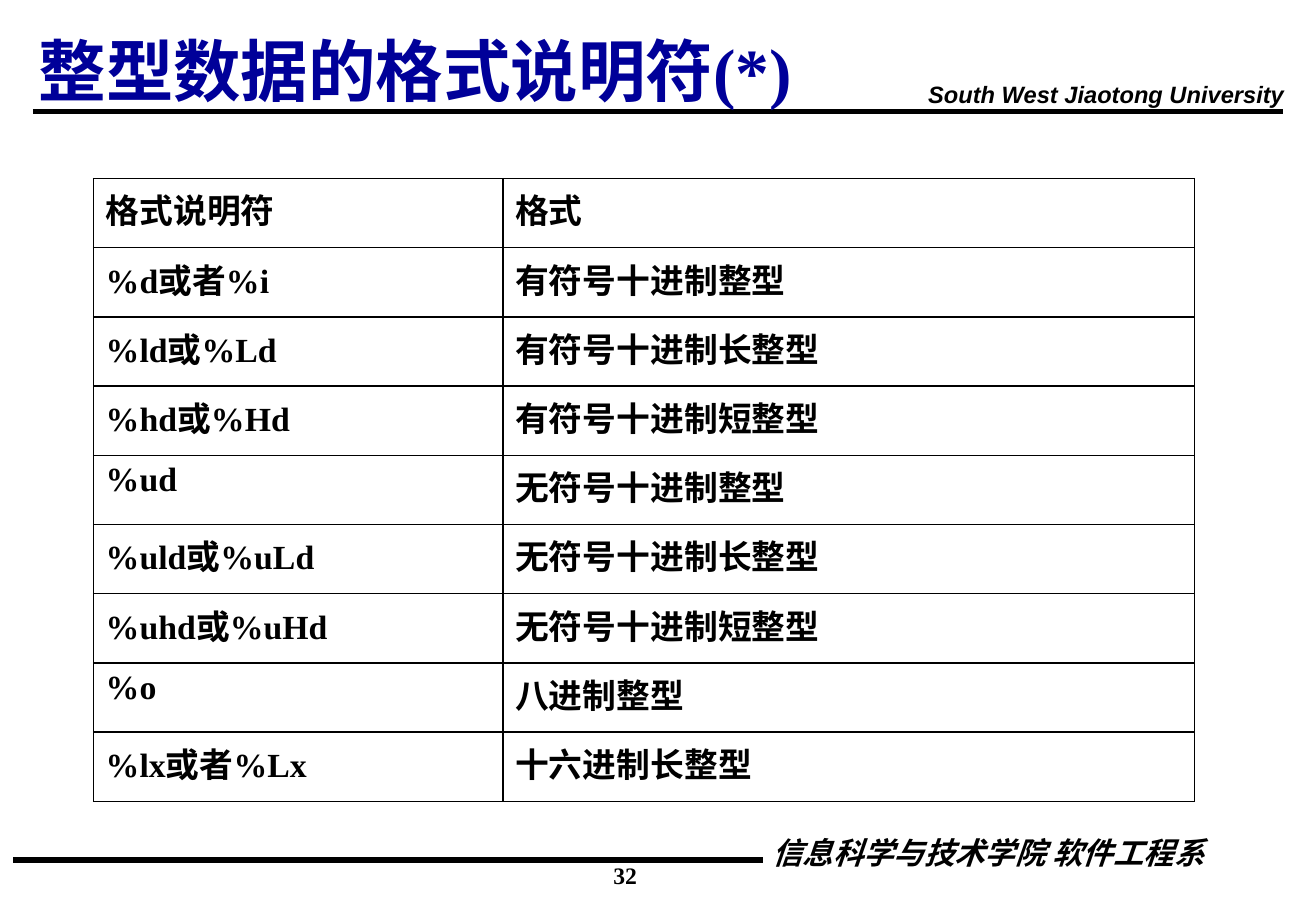
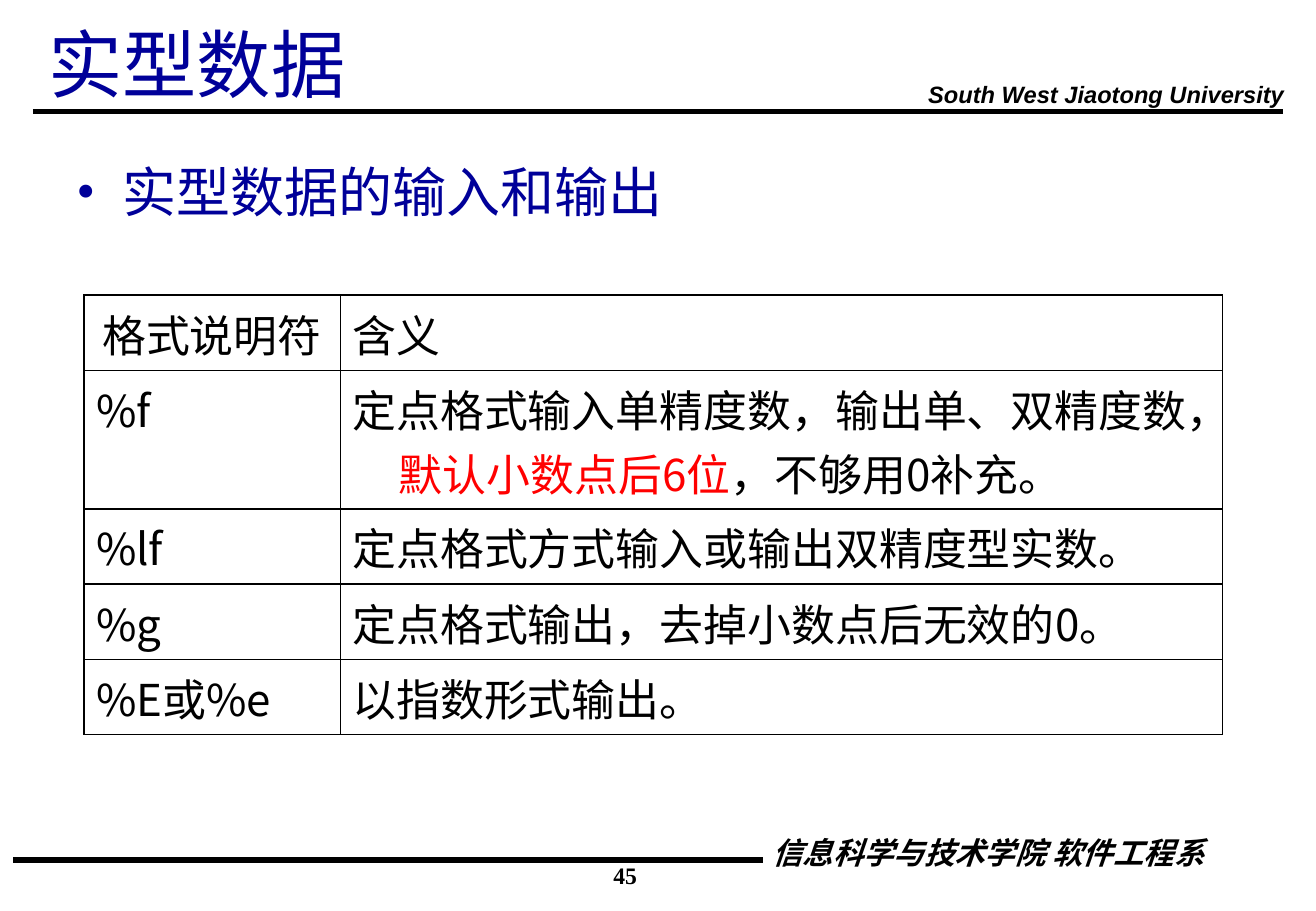
from lxml import etree
from pptx import Presentation
from pptx.dml.color import RGBColor
from pptx.enum.lang import MSO_LANGUAGE_ID
from pptx.enum.shapes import MSO_CONNECTOR
from pptx.enum.text import MSO_ANCHOR, MSO_AUTO_SIZE, PP_ALIGN
from pptx.oxml.ns import qn
from pptx.util import Inches, Pt

STRAIGHT = MSO_CONNECTOR.STRAIGHT
CHINESE = MSO_LANGUAGE_ID.SIMPLIFIED_CHINESE
TOP, MIDDLE = MSO_ANCHOR.TOP, MSO_ANCHOR.MIDDLE
FIT_SHAPE = MSO_AUTO_SIZE.SHAPE_TO_FIT_TEXT
LEFT, CENTER, RIGHT = PP_ALIGN.LEFT, PP_ALIGN.CENTER, PP_ALIGN.RIGHT

BLACK, NAVY, RED = "000000", "000099", "FF0000"
SERIF, SANS, CJK = "Times New Roman", "Arial", "Noto Sans CJK SC"
HANGING = 0.38


def color(code):
    return RGBColor.from_string(code)


class Lecture:
    def __init__(self):
        self.deck = Presentation()
        self.deck.slide_width = Inches(10.83)
        self.deck.slide_height = Inches(7.5)
        self.page = None

    def new_page(self, number):
        """Start a slide with the shared rules, names and page number."""
        self.page = self.deck.slides.add_slide(self.deck.slide_layouts[6])
        self.rule(0.27, 10.56, 0.92)
        self.text((7.54, 0.67, 3.14, 0.27), "South West Jiaotong University", 14,
                  font=SANS, bold=True, italic=True, spacing=0.7, wrap=False)
        self.rule(0.11, 6.28, 7.08)
        self.text((5.26, 6.9, 4.75, 0.31), "信息科学与技术学院 软件工程系", 18,
                  font=CJK, bold=True, italic=True, spacing=0.7, align=RIGHT)
        self.text((3.43, 7.04, 3.43, 0.33), str(number), 14, bold=True, align=CENTER)

    def rule(self, start, end, y):
        line = self.page.shapes.add_connector(
            STRAIGHT, Inches(start), Inches(y), Inches(end), Inches(y))
        line.line.color.rgb = color(BLACK)
        line.line.width = Pt(3)
        etree.SubElement(line._element.spPr, qn("a:effectLst"))

    def span(self, para, text, size, font=SERIF, code=BLACK, bold=False, italic=False):
        run = para.add_run()
        run.text = text
        style = run.font
        style.size, style.name = Pt(size), font
        style.bold, style.italic = bold, italic
        style.color.rgb = color(code)
        style.language_id = CHINESE
        east_asian = etree.SubElement(run._r.get_or_add_rPr(), qn("a:ea"))
        east_asian.set("typeface", CJK)

    def hang(self, para, bullet=None):
        """Give a paragraph a hanging indent and, if named, a bullet."""
        props = para._p.get_or_add_pPr()
        props.set("marL", str(Inches(HANGING)))
        props.set("indent", str(-Inches(HANGING)))
        if bullet:
            etree.SubElement(props, qn("a:buFont")).set("typeface", SERIF)
            etree.SubElement(props, qn("a:buChar")).set("char", bullet)

    def text(self, place, text, size, align=LEFT, anchor=TOP, spacing=None,
             wrap=True, bullet=None, **style):
        box = self.page.shapes.add_textbox(*map(Inches, place))
        frame = box.text_frame
        frame.word_wrap = wrap
        frame.vertical_anchor = anchor
        para = frame.paragraphs[0]
        para.alignment = align
        if spacing:
            para.line_spacing = spacing
            frame.auto_size = FIT_SHAPE
        if bullet:
            self.hang(para, bullet)
        self.span(para, text, size, **style)

    def title(self, place, text, size, bold=False):
        self.text(place, text, size, anchor=MIDDLE, code=NAVY, bold=bold)

    def border(self, cell):
        props = cell._tc.get_or_add_tcPr()
        for side in ("lnL", "lnR", "lnT", "lnB"):
            line = etree.SubElement(props, qn("a:" + side), w=str(Pt(1)))
            fill = etree.SubElement(line, qn("a:solidFill"))
            etree.SubElement(fill, qn("a:srgbClr"), val=BLACK)

    def table(self, left, top, widths, heights, rows, size, header_align=LEFT, **style):
        """Draw a ruled table; a cell is a string or a list of (text, colour)."""
        frame = self.page.shapes.add_table(
            len(rows), len(widths), Inches(left), Inches(top),
            Inches(sum(widths)), Inches(sum(heights)))
        grid = frame.table
        grid.first_row = grid.horz_banding = False
        for column, width in zip(grid.columns, widths):
            column.width = Inches(width)
        for r, (height, row) in enumerate(zip(heights, rows)):
            grid.rows[r].height = Inches(height)
            for c, content in enumerate(row):
                cell = grid.cell(r, c)
                self.border(cell)
                cell.fill.background()
                para = cell.text_frame.paragraphs[0]
                para.alignment = header_align if (r, c) == (0, 0) else LEFT
                self.hang(para)
                spans = [(content, BLACK)] if isinstance(content, str) else content
                for text, code in spans:
                    self.span(para, text, size, code=code, **style)


INTEGER_FORMATS = [
    ("格式说明符", "格式"),
    ("%d或者%i", "有符号十进制整型"),
    ("%ld或%Ld", "有符号十进制长整型"),
    ("%hd或%Hd", "有符号十进制短整型"),
    ("%ud", "无符号十进制整型"),
    ("%uld或%uLd", "无符号十进制长整型"),
    ("%uhd或%uHd", "无符号十进制短整型"),
    ("%o", "八进制整型"),
    ("%lx或者%Lx", "十六进制长整型"),
]
REAL_FORMATS = [
    ("格式说明符", "含义"),
    ("%f", [("定点格式输入单精度数，输出单、双精度数，", BLACK),
            ("默认小数点后6位", RED), ("，不够用0补充。", BLACK)]),
    ("%lf", "定点格式方式输入或输出双精度型实数。"),
    ("%g", "定点格式输出，去掉小数点后无效的0。"),
    ("%E或%e", "以指数形式输出。"),
]


def main():
    lecture = Lecture()

    lecture.new_page(32)
    lecture.title((0.22, 0.13, 9.13, 0.88), "整型数据的格式说明符(*)", 40, bold=True)
    lecture.table(0.77, 1.47, (3.37, 5.69), [0.57] * len(INTEGER_FORMATS),
                  INTEGER_FORMATS, 20, bold=True)

    lecture.new_page(45)
    lecture.text((0.53, 1.26, 6.05, 4.5), "实型数据的输入和输出", 32,
                 bullet="•", code=NAVY)
    lecture.table(0.69, 2.43, (2.11, 7.26), (0.62, 1.14, 0.62, 0.62, 0.62),
                  REAL_FORMATS, 26, header_align=CENTER, font=CJK)
    lecture.title((0.3, -0.11, 9.21, 1.25), "实型数据", 44)

    lecture.deck.save("out.pptx")


if __name__ == "__main__":
    main()
